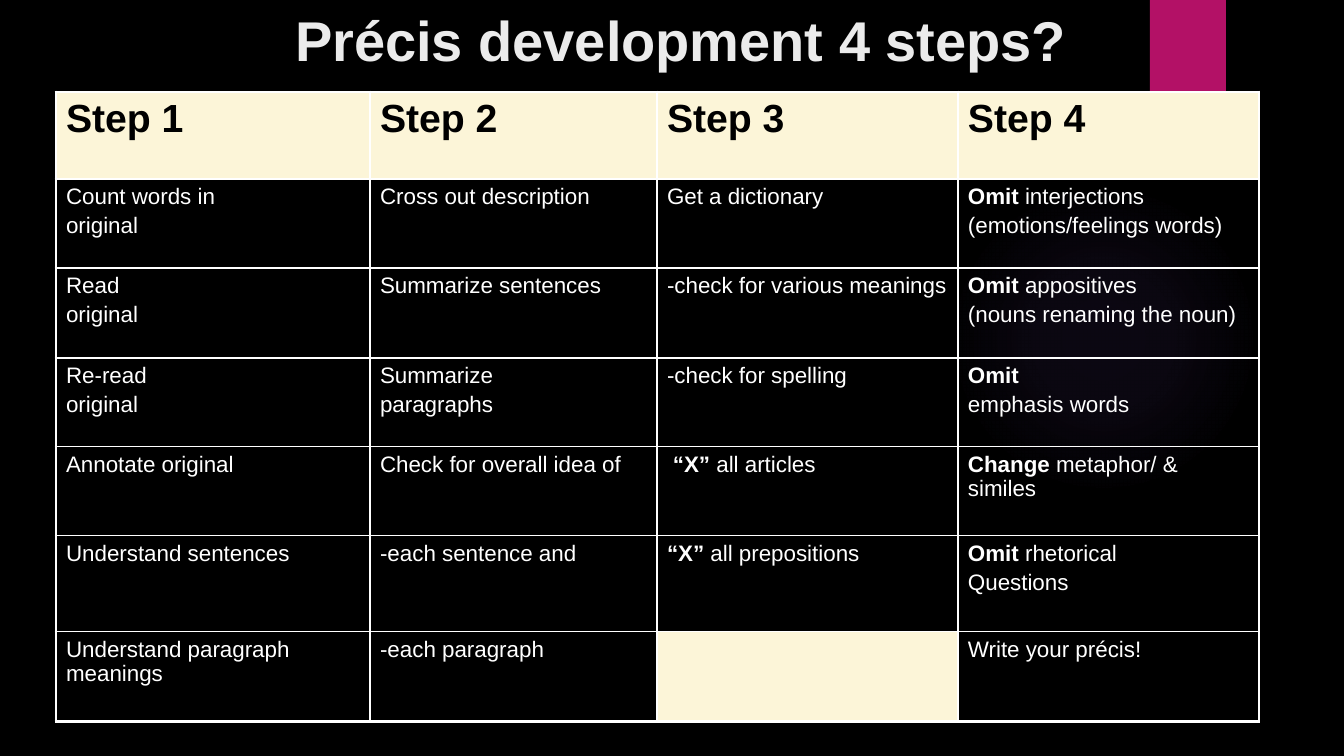
from dataclasses import dataclass

from pptx import Presentation
from pptx.dml.color import RGBColor
from pptx.enum.shapes import MSO_SHAPE
from pptx.enum.text import MSO_ANCHOR, MSO_AUTO_SIZE, PP_ALIGN
from pptx.oxml import parse_xml
from pptx.oxml.ns import nsdecls, qn
from pptx.util import Pt

ELLIPSE, RECTANGLE = MSO_SHAPE.OVAL, MSO_SHAPE.RECTANGLE
TOP, LEFT, NO_FIT = MSO_ANCHOR.TOP, PP_ALIGN.LEFT, MSO_AUTO_SIZE.NONE
PAGE_WIDTH, PAGE_HEIGHT = 1344, 756
EMU_PER_PX = 12192000 / PAGE_WIDTH
TITLE_ONLY = 5


@dataclass(frozen=True)
class Theme:
    font: str = "Arial"
    background: str = "000000"
    ribbon: str = "B31166"
    glow: str = "9B6BF2"
    title: str = "EBEBEB"
    cream: str = "FCF5D8"
    header_text: str = "000000"
    body_text: str = "FFFFFF"
    border: str = "FFFFFF"
    title_size: int = 40
    header_size: int = 28
    body_size: int = 16
    outer_line: float = 2.25
    inner_line: float = 1
    line_gap: float = 0.2


THEME = Theme()
COLUMN_WIDTHS = [314, 287, 301, 301]
ROW_HEIGHTS = [87, 89, 90, 89, 89, 96, 90]
INDENTED_CELL = (4, 2)
STEPS = [
    ["Step 1", "Step 2", "Step 3", "Step 4"],
    ["Count words in\noriginal", "Cross out description", "Get a dictionary",
     "Omit| interjections\n(emotions/feelings words)"],
    ["Read\noriginal", "Summarize sentences", "-check for various meanings",
     "Omit| appositives\n(nouns renaming the noun)"],
    ["Re-read\noriginal", "Summarize\nparagraphs", "-check for spelling",
     "Omit|\nemphasis words"],
    ["Annotate original", "Check for overall idea of", "“X”| all articles",
     "Change |metaphor/ & similes"],
    ["Understand sentences", "-each sentence and", "“X”| all prepositions",
     "Omit |rhetorical\nQuestions"],
    ["Understand paragraph meanings", "-each paragraph", "", "Write your précis!"],
]


def px(length):
    return round(length * EMU_PER_PX)


def write_text(frame, text, size, color, bold=False):
    frame.word_wrap = True
    for index, line in enumerate(text.split("\n")):
        para = frame.add_paragraph() if index else frame.paragraphs[0]
        para.alignment = LEFT
        para.space_before = Pt(size * THEME.line_gap if index else 0)
        strong, _, plain = line.rpartition("|")
        for words, weight in ((strong, True), (plain, bold)):
            if words:
                span = para.add_run()
                span.text = words
                span.font.name = THEME.font
                span.font.size = Pt(size)
                span.font.bold = weight
                span.font.color.rgb = RGBColor.from_string(color)


def add_plain_shape(page, kind, box):
    shape = page.shapes.add_shape(kind, *map(px, box))
    shape.shadow.inherit = False
    shape.line.fill.background()
    return shape


def add_glow(page, box):
    glow = add_plain_shape(page, ELLIPSE, box)
    stops = "".join(
        f'<a:gs pos="{place * 1000}"><a:srgbClr val="{THEME.glow}">'
        f'<a:alpha val="{alpha * 1000}"/></a:srgbClr></a:gs>'
        for place, alpha in ((0, 7), (36, 6), (69, 0)))
    gradient = parse_xml(
        f'<a:gradFill {nsdecls("a")}><a:gsLst>{stops}</a:gsLst><a:path path="circle">'
        '<a:fillToRect l="50000" t="50000" r="50000" b="50000"/></a:path></a:gradFill>')
    glow._element.spPr.find(qn("a:prstGeom")).addnext(gradient)


def add_ribbon(page, box):
    ribbon = add_plain_shape(page, RECTANGLE, box)
    ribbon.fill.solid()
    ribbon.fill.fore_color.rgb = RGBColor.from_string(THEME.ribbon)


def place_title(page, box, text):
    title = page.shapes.title
    title.left, title.top, title.width, title.height = map(px, box)
    frame = title.text_frame
    frame.vertical_anchor = TOP
    frame.auto_size = NO_FIT
    write_text(frame, text, THEME.title_size, THEME.title, bold=True)


def set_borders(cell, outer_sides):
    properties = cell._tc.get_or_add_tcPr()
    for side, is_outer in zip("LRTB", outer_sides):
        width = Pt(THEME.outer_line if is_outer else THEME.inner_line)
        properties.append(parse_xml(
            f'<a:ln{side} {nsdecls("a")} w="{width}"><a:solidFill>'
            f'<a:srgbClr val="{THEME.border}"/></a:solidFill></a:ln{side}>'))


def add_steps_table(page, box):
    table = page.shapes.add_table(len(STEPS), len(STEPS[0]), *map(px, box)).table
    table.first_row = table.horz_banding = False
    for column, width in zip(table.columns, COLUMN_WIDTHS):
        column.width = px(width)
    last_row, last_column = len(STEPS) - 1, len(STEPS[0]) - 1
    for row_index, texts in enumerate(STEPS):
        table.rows[row_index].height = px(ROW_HEIGHTS[row_index])
        is_header = row_index == 0
        for column_index, text in enumerate(texts):
            cell = table.cell(row_index, column_index)
            set_borders(cell, (column_index == 0, column_index == last_column,
                               is_header, row_index == last_row))
            if is_header or not text:
                cell.fill.solid()
                cell.fill.fore_color.rgb = RGBColor.from_string(THEME.cream)
            else:
                cell.fill.background()
            size = THEME.header_size if is_header else THEME.body_size
            color = THEME.header_text if is_header else THEME.body_text
            write_text(cell.text_frame, text, size, color, bold=is_header)
    table.cell(*INDENTED_CELL).margin_left = px(16)


def build_steps_page(deck):
    page = deck.slides.add_slide(deck.slide_layouts[TITLE_ONLY])
    page.background.fill.solid()
    page.background.fill.fore_color.rgb = RGBColor.from_string(THEME.background)
    add_glow(page, (949, 184, 310, 310))
    add_ribbon(page, (1150, 0, 76, 126))
    place_title(page, (285, 0, 857, 126), "Précis development 4 steps?")
    add_steps_table(page, (56, 92, sum(COLUMN_WIDTHS), sum(ROW_HEIGHTS)))


def main():
    deck = Presentation()
    deck.slide_width, deck.slide_height = px(PAGE_WIDTH), px(PAGE_HEIGHT)
    build_steps_page(deck)
    deck.save("out.pptx")


if __name__ == "__main__":
    main()
